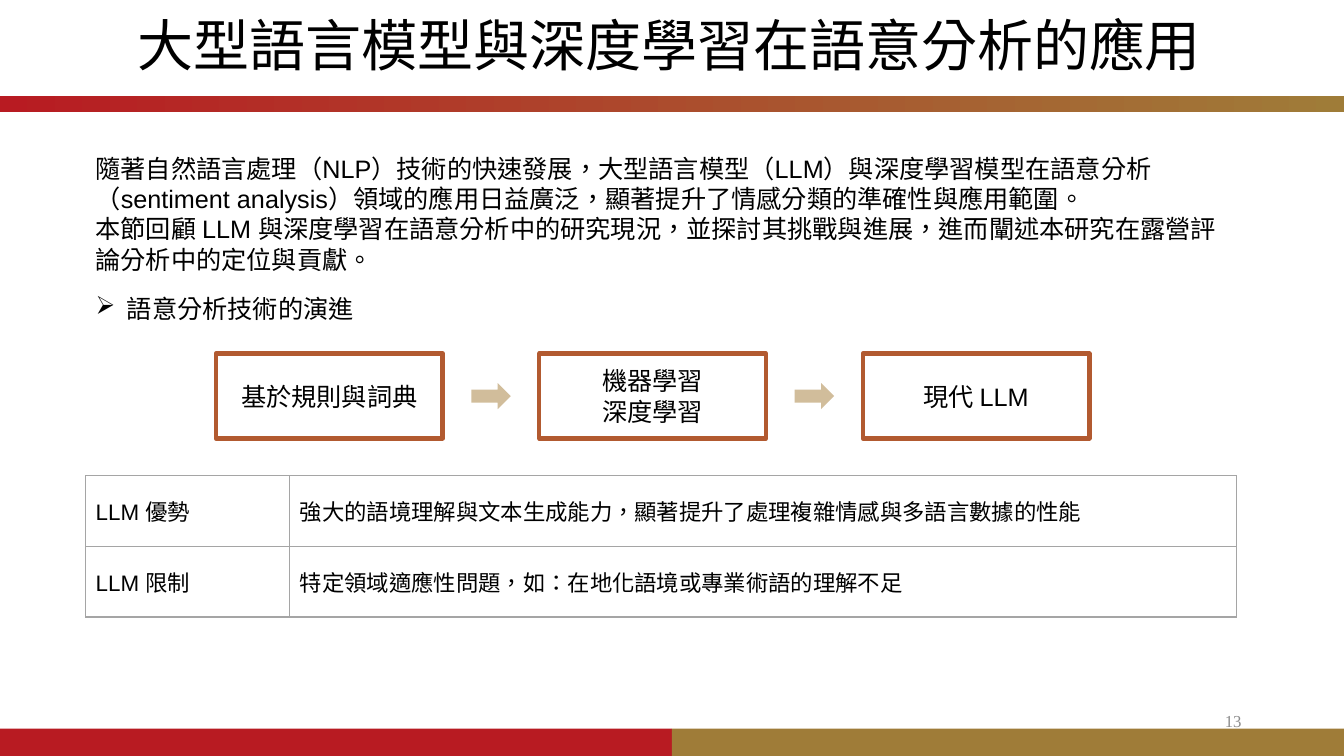
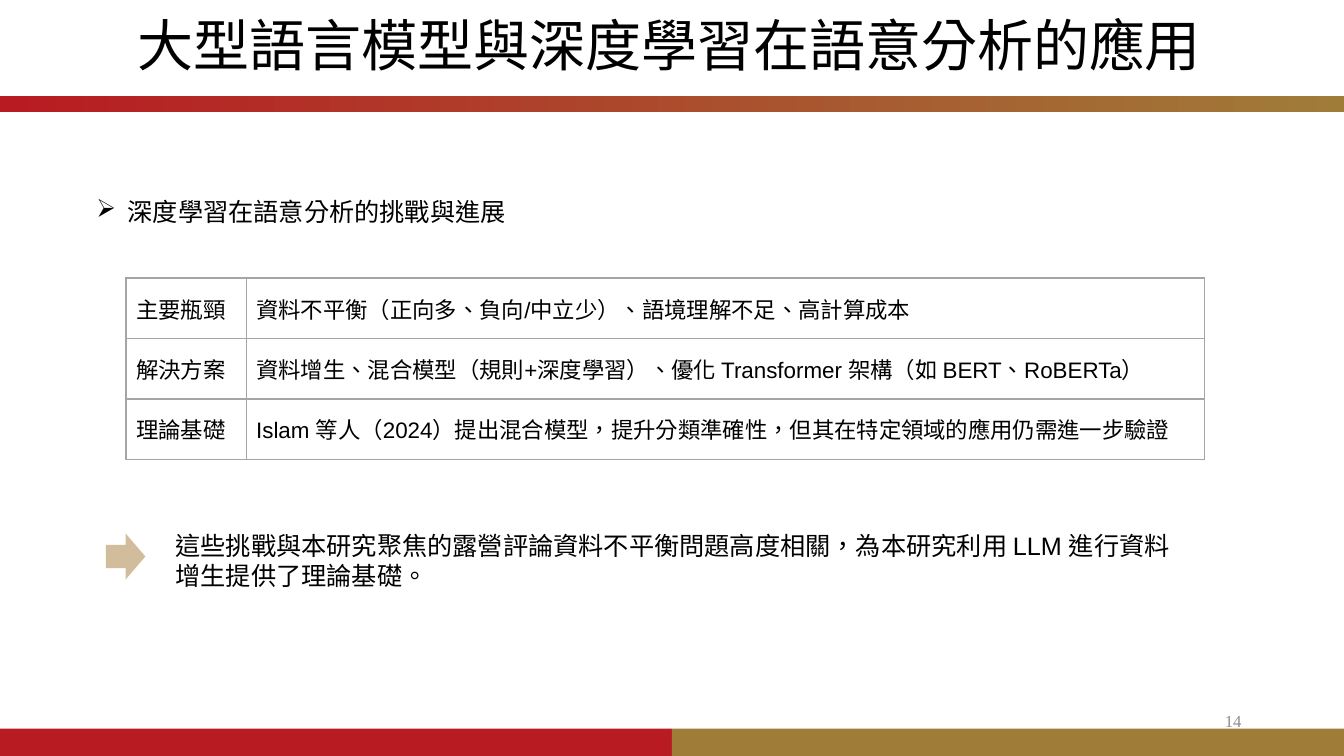
import lxml.etree
import pptx
import pptx.dml.color
import pptx.enum.dml
import pptx.enum.shapes
import pptx.enum.text
import pptx.oxml.ns
import pptx.util

COLUMNS, ROWS = 160, 90
COLOURS = {
    "red": "B81B22",
    "gold": "9F7C38",
    "sand": "D1BD9B",
    "rust": "B25A30",
    "rule": "A5A5A5",
    "number": "8C8C8C",
    "ink": "000000",
}
CJK = "Noto Sans CJK SC"
ALIGN = pptx.enum.text.PP_ALIGN
ANCHOR = pptx.enum.text.MSO_ANCHOR
AUTOSIZE = pptx.enum.text.MSO_AUTO_SIZE
SHAPE = pptx.enum.shapes.MSO_SHAPE
qn = pptx.oxml.ns.qn

STYLES = {
    "title": {
        "font": {"size": pptx.util.Pt(40), "name": "Times New Roman"},
        "paragraph": {"line_spacing": 0.9, "alignment": ALIGN.LEFT},
        "frame": {"vertical_anchor": ANCHOR.MIDDLE, "auto_size": AUTOSIZE.NONE, "word_wrap": True},
    },
    "number": {
        "font": {"size": pptx.util.Pt(12), "name": "Times New Roman"},
        "paragraph": {"alignment": ALIGN.RIGHT},
        "frame": {"vertical_anchor": ANCHOR.MIDDLE, "word_wrap": True},
        "colour": "number",
    },
    "body": {
        "font": {"size": pptx.util.Pt(18), "name": "Arial"},
        "frame": {"auto_size": AUTOSIZE.SHAPE_TO_FIT_TEXT, "word_wrap": True},
    },
    "heading": {
        "font": {"size": pptx.util.Pt(18), "name": CJK},
        "frame": {"auto_size": AUTOSIZE.SHAPE_TO_FIT_TEXT, "word_wrap": False},
        "bullet": "➢",
    },
    "step": {
        "font": {"size": pptx.util.Pt(18), "name": "Arial"},
        "paragraph": {"alignment": ALIGN.CENTER},
        "frame": {"vertical_anchor": ANCHOR.MIDDLE, "word_wrap": True},
    },
    "cell": {
        "font": {"size": pptx.util.Pt(16), "name": "Arial"},
        "frame": {"vertical_anchor": ANCHOR.MIDDLE, "word_wrap": True},
    },
}


def rgb(name):
    """Return the palette colour with this name."""
    return pptx.dml.color.RGBColor.from_string(COLOURS[name])


def assign(target, values):
    """Set every named attribute on the target."""
    for name, value in values.items():
        setattr(target, name, value)


class Deck:
    """Hold the shared style and the current slide."""

    def __init__(self):
        """Open a widescreen presentation."""
        self.show = pptx.Presentation()
        self.show.slide_width = pptx.util.Inches(13.33)
        self.show.slide_height = pptx.util.Inches(7.5)
        self.slide = None

    def across(self, columns):
        """Convert grid columns to a length."""
        return round(self.show.slide_width * columns / COLUMNS)

    def down(self, rows):
        """Convert grid rows to a length."""
        return round(self.show.slide_height * rows / ROWS)

    def place(self, left, top, width, height):
        """Convert a grid rectangle to lengths."""
        return self.across(left), self.down(top), self.across(width), self.down(height)

    def typeset(self, frame, lines, style):
        """Fill a text frame with styled paragraphs."""
        look = STYLES[style]
        assign(frame, look["frame"])
        for index, line in enumerate(lines):
            paragraph = frame.add_paragraph() if index else frame.paragraphs[0]
            assign(paragraph, look.get("paragraph", {}))
            if "bullet" in look:
                self.bullet(paragraph, look["bullet"])
            run = paragraph.add_run()
            run.text = line
            assign(run.font, look["font"])
            run.font.color.rgb = rgb(look.get("colour", "ink"))
            properties = run.font._element
            properties.set("lang", "zh-TW")
            lxml.etree.SubElement(properties, qn("a:ea"), typeface=CJK)

    def bullet(self, paragraph, mark):
        """Give a paragraph a hanging bullet."""
        properties = paragraph._p.get_or_add_pPr()
        hang = pptx.util.Inches(0.31)
        properties.set("marL", str(hang))
        properties.set("indent", str(-hang))
        lxml.etree.SubElement(properties, qn("a:buChar"), char=mark)

    def shape(self, kind, area, fill=None, outline=None):
        """Draw a flat preset shape."""
        figure = self.slide.shapes.add_shape(kind, *self.place(*area))
        figure.shadow.inherit = False
        if fill:
            figure.fill.solid()
            figure.fill.fore_color.rgb = rgb(fill)
        else:
            figure.fill.background()
        if outline:
            figure.line.color.rgb = rgb(outline)
            figure.line.width = pptx.util.Pt(3)
        else:
            figure.line.fill.background()
        return figure

    def text(self, area, lines, style="body"):
        """Add a text box."""
        box = self.slide.shapes.add_textbox(*self.place(*area))
        self.typeset(box.text_frame, lines, style)

    def start(self, title, number):
        """Begin a slide with its bands, title and number."""
        self.slide = self.show.slides.add_slide(self.show.slide_layouts[5])
        for side, colour in enumerate(("red", "gold")):
            half = COLUMNS / 2
            self.shape(SHAPE.RECTANGLE, (side * half, 86.75, half, 3.25), colour)
        band = self.shape(SHAPE.RECTANGLE, (0, 11.4, COLUMNS, 1.9), "red")
        band.fill.gradient()
        band.fill.gradient_angle = 0
        for stop, colour in zip(band.fill.gradient_stops, ("red", "gold")):
            stop.color.rgb = rgb(colour)
        self.text((113, 83.4, 36, 4.8), [str(number)], "number")
        heading = self.slide.shapes.title
        assign(heading, dict(zip(("left", "top", "width", "height"), self.place(15.2, 0, 138, 11.5))))
        self.typeset(heading.text_frame, [title], "title")

    def arrow(self, area):
        """Draw a sand-coloured arrow."""
        self.shape(SHAPE.RIGHT_ARROW, area, "sand")

    def flow(self, steps, left, top, width, height, gap):
        """Draw outlined steps with an arrow in each gap."""
        arrow_width, arrow_height = 4.7, 3.1
        for index, lines in enumerate(steps):
            start = left + index * (width + gap)
            step = self.shape(SHAPE.RECTANGLE, (start, top, width, height), outline="rust")
            self.typeset(step.text_frame, lines, "step")
            if index:
                self.arrow((start - (gap + arrow_width) / 2, top + (height - arrow_height) / 2,
                            arrow_width, arrow_height))

    def table(self, left, top, widths, row_height, records):
        """Add a plain ruled table."""
        area = self.place(left, top, sum(widths), row_height * len(records))
        grid = self.slide.shapes.add_table(len(records), len(widths), *area).table
        assign(grid, {"first_row": False, "horz_banding": False})
        for column, width in zip(grid.columns, widths):
            column.width = self.across(width)
        for row, record in zip(grid.rows, records):
            row.height = self.down(row_height)
            for cell, words in zip(row.cells, record):
                self.rule(cell)
                cell.fill.background()
                cell.vertical_anchor = ANCHOR.MIDDLE
                self.typeset(cell.text_frame, [words], "cell")

    def rule(self, cell):
        """Draw thin borders round a cell."""
        properties = cell._tc.get_or_add_tcPr()
        for edge in ("a:lnL", "a:lnR", "a:lnT", "a:lnB"):
            line = lxml.etree.SubElement(properties, qn(edge), w=str(pptx.util.Pt(1)))
            paint = lxml.etree.SubElement(line, qn("a:solidFill"))
            lxml.etree.SubElement(paint, qn("a:srgbClr"), val=COLOURS["rule"])


def main():
    """Build and save the slides."""
    deck = Deck()
    topic = "大型語言模型與深度學習在語意分析的應用"

    deck.start(topic, 13)
    deck.text((10.2, 17.65, 136.9, 15.7), [
        "隨著自然語言處理（NLP）技術的快速發展，大型語言模型（LLM）與深度學習模型在語意分析"
        "（sentiment analysis）領域的應用日益廣泛，顯著提升了情感分類的準確性與應用範圍。",
        "本節回顧 LLM 與深度學習在語意分析中的研究現況，並探討其挑戰與進展，"
        "進而闡述本研究在露營評論分析中的定位與貢獻。",
    ])
    deck.text((10.2, 34.3, 33.5, 4.8), ["語意分析技術的演進"], "heading")
    deck.flow([["基於規則與詞典"], ["機器學習", "深度學習"], ["現代 LLM"]],
              left=25.7, top=42.1, width=27, height=10.1, gap=11.5)
    deck.table(10.2, 56.65, (24.3, 112.7), 8.4, [
        ("LLM 優勢", "強大的語境理解與文本生成能力，顯著提升了處理複雜情感與多語言數據的性能"),
        ("LLM 限制", "特定領域適應性問題，如：在地化語境或專業術語的理解不足"),
    ])

    deck.start(topic, 14)
    deck.table(15, 33.1, (14.3, 114.1), 7.2, [
        ("主要瓶頸", "資料不平衡（正向多、負向/中立少）、語境理解不足、高計算成本"),
        ("解決方案", "資料增生、混合模型（規則+深度學習）、優化 Transformer 架構（如 BERT、RoBERTa）"),
        ("理論基礎", "Islam 等人（2024）提出混合模型，提升分類準確性，但其在特定領域的應用仍需進一步驗證"),
    ])
    deck.text((10.3, 22.8, 51.6, 4.8), ["深度學習在語意分析的挑戰與進展"], "heading")
    deck.text((19.7, 62.5, 123.6, 8.5), [
        "這些挑戰與本研究聚焦的露營評論資料不平衡問題高度相關，"
        "為本研究利用 LLM 進行資料增生提供了理論基礎。",
    ])
    deck.arrow((12.6, 63.5, 4.7, 5.5))

    deck.show.save("out.pptx")


if __name__ == "__main__":
    main()
